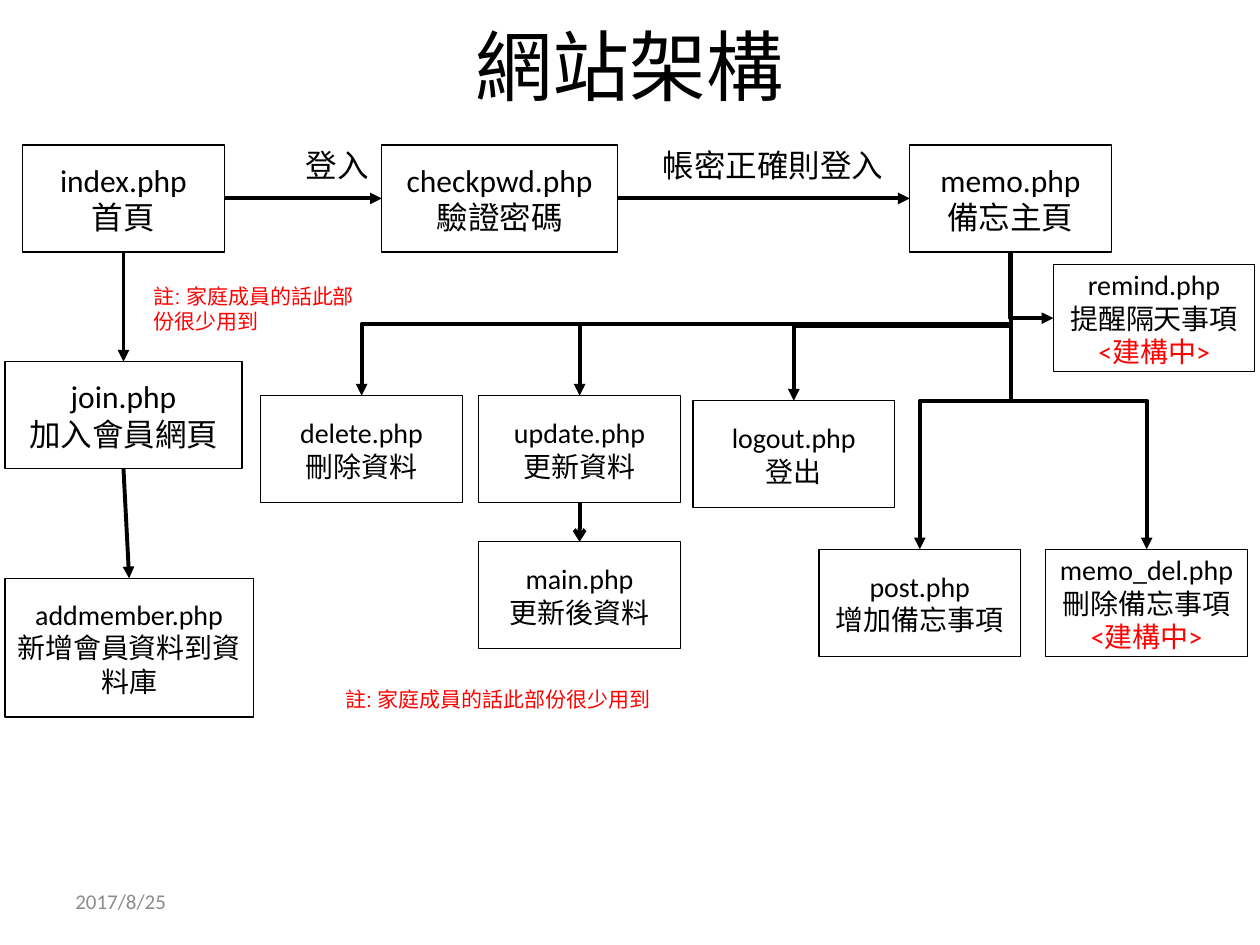
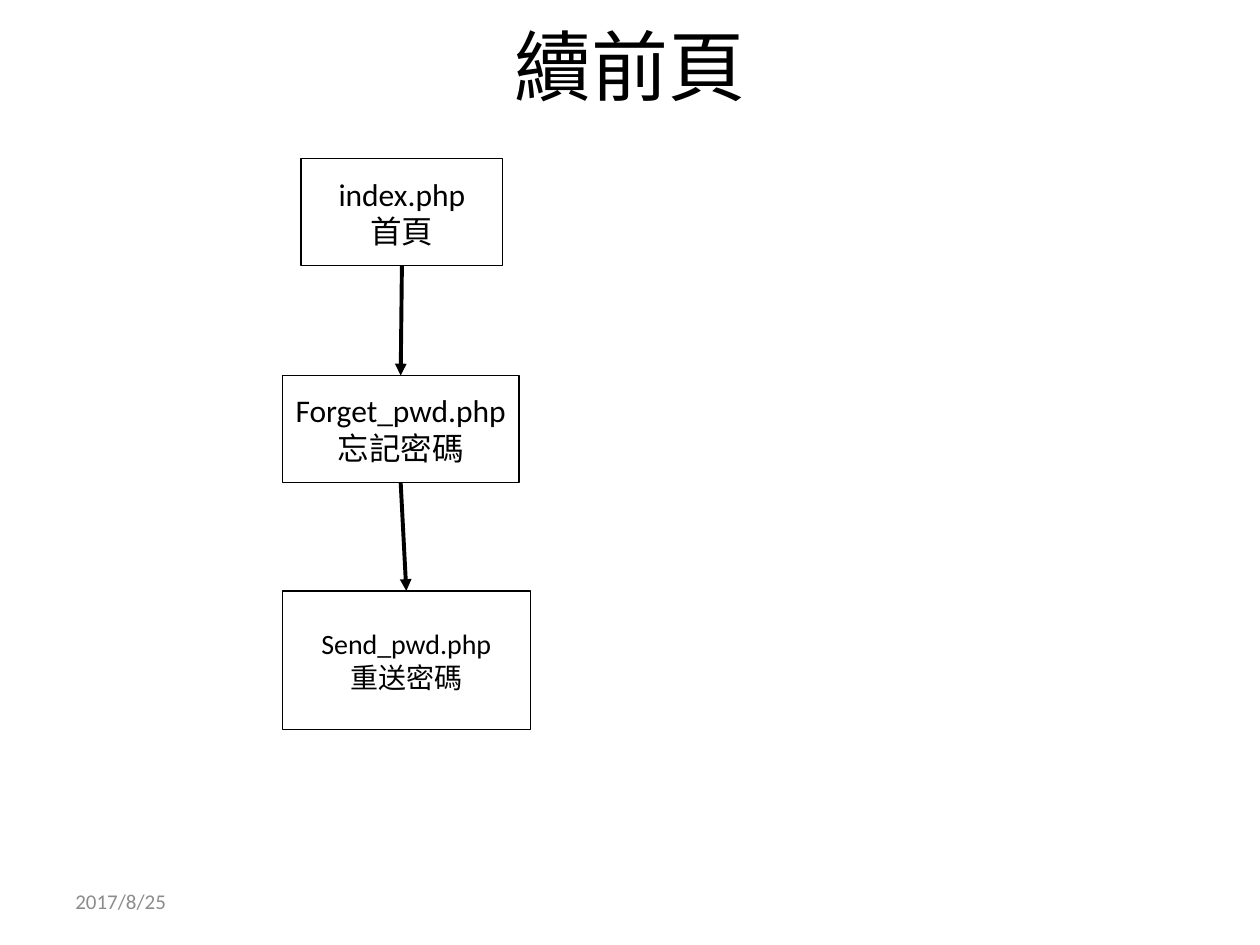
from dataclasses import dataclass

from pptx import Presentation
from pptx.dml.color import RGBColor
from pptx.enum.shapes import MSO_CONNECTOR as Route, MSO_SHAPE as Form
from pptx.enum.text import MSO_ANCHOR as Anchor, PP_ALIGN as Align
from pptx.oxml import parse_xml
from pptx.oxml.ns import nsdecls, qn
from pptx.util import Inches, Pt

BLACK, RED, GRAY = "000000", "FF0000", "8C8C8C"
TOP, LEFT, BOTTOM, RIGHT = range(4)
BUILD = "<建構中>"
NOTE = "註: 家庭成員的話此部份很少用到"


@dataclass
class Box:
    name: str
    label: str
    left: float
    top: float
    size: int = 16
    width: float = 1.6
    height: float = 0.85
    building: bool = False


@dataclass
class Link:
    start: str
    end: str
    leave: int = BOTTOM
    enter: int = TOP
    bend: str = ""
    head: str = "triangle"


@dataclass
class Label:
    text: str
    left: float
    top: float
    width: float
    height: float
    size: int = 18
    font: str = "Calibri"
    color: str = BLACK
    align: Align = Align.LEFT
    anchor: Anchor = Anchor.TOP
    pad: float = 0.05


@dataclass
class Page:
    title: str
    boxes: list[Box]
    links: list[Link]
    labels: list[Label]


def paint(color: str) -> RGBColor:
    return RGBColor.from_string(color)


def style(para, size: int, color: str, font: str, align: Align) -> None:
    para.alignment = align
    for run in para.runs:
        run.font.size = Pt(size)
        run.font.name = font
        run.font.color.rgb = paint(color)


def set_frame(frame, anchor: Anchor, pad: float) -> None:
    frame.word_wrap = True
    frame.vertical_anchor = anchor
    frame.margin_left = frame.margin_right = Inches(0.1)
    frame.margin_top = frame.margin_bottom = Inches(pad)


def draw_label(slide, label: Label) -> None:
    area = map(Inches, (label.left, label.top, label.width, label.height))
    frame = slide.shapes.add_textbox(*area).text_frame
    set_frame(frame, label.anchor, label.pad)
    frame.text = label.text
    style(frame.paragraphs[0], label.size, label.color, label.font, label.align)


def draw_box(slide, box: Box):
    area = map(Inches, (box.left, box.top, box.width, box.height))
    shape = slide.shapes.add_shape(Form.RECTANGLE, *area)
    shape.shadow.inherit = False
    shape.fill.background()
    shape.line.color.rgb = paint(BLACK)
    shape.line.width = Pt(0.75)
    frame = shape.text_frame
    set_frame(frame, Anchor.MIDDLE, 0.1)
    lines = [f"{box.name}.php", box.label] + [BUILD] * box.building
    frame.text = "\n".join(lines)
    for para, text in zip(frame.paragraphs, lines):
        color = RED if text == BUILD else BLACK
        style(para, box.size, color, "Calibri", Align.CENTER)
    return shape


def turn(line, bend: str) -> None:
    across = line.end_x - line.begin_x
    down = line.end_y - line.begin_y
    mid_x = (line.begin_x + line.end_x) // 2
    mid_y = (line.begin_y + line.end_y) // 2
    line.width, line.height = down, abs(across)
    line.left, line.top = mid_x - down // 2, mid_y - abs(across) // 2
    line.rotation = 270 if across > 0 else 90
    props = line._element.spPr
    props.find(qn("a:xfrm")).flipH = across > 0
    props.find(qn("a:prstGeom")).set("prst", bend)


def draw_link(slide, link: Link, shapes: dict) -> None:
    route = Route.ELBOW if link.bend else Route.STRAIGHT
    line = slide.shapes.add_connector(route, 0, 0, 0, 0)
    line.begin_connect(shapes[link.start], link.leave)
    line.end_connect(shapes[link.end], link.enter)
    if link.bend:
        turn(line, link.bend)
    line.line.color.rgb = paint(BLACK)
    line.line.width = Pt(2.25)
    tail = f'<a:tailEnd {nsdecls("a")} type="{link.head}"/>'
    line.line._get_or_add_ln().append(parse_xml(tail))
    line._element.spPr.append(parse_xml(f'<a:effectLst {nsdecls("a")}/>'))


def draw_page(deck, page: Page) -> None:
    slide = deck.slides.add_slide(deck.slide_layouts[6])
    title = Label(page.title, 0.5, -0.11, 9, 1.25, 44,
                  align=Align.CENTER, anchor=Anchor.MIDDLE)
    date = Label("2017/8/25", 0.5, 6.95, 2.33, 0.4, 12,
                 color=GRAY, anchor=Anchor.MIDDLE)
    for label in (title, date, *page.labels):
        draw_label(slide, label)
    shapes = {box.name: draw_box(slide, box) for box in page.boxes}
    for link in page.links:
        draw_link(slide, link, shapes)


FORK = "bentConnector3"
PAGES = [
    Page(
        "網站架構",
        [
            Box("index", "首頁", 0.18, 1.15, 18),
            Box("checkpwd", "驗證密碼", 3.03, 1.15, 18, 1.87),
            Box("memo", "備忘主頁", 7.22, 1.15, 18),
            Box("join", "加入會員網頁", 0.04, 2.87, 18, 1.88),
            Box("addmember", "新增會員資料到資料庫", 0.04, 4.59, 16, 1.97, 1.1),
            Box("delete", "刪除資料", 2.07, 3.14),
            Box("update", "更新資料", 3.8, 3.14),
            Box("logout", "登出", 5.5, 3.18),
            Box("main", "更新後資料", 3.8, 4.3),
            Box("post", "增加備忘事項", 6.5, 4.36),
            Box("memo_del", "刪除備忘事項", 8.3, 4.36, building=True),
            Box("remind", "提醒隔天事項", 8.36, 2.1, building=True),
        ],
        [
            Link("index", "checkpwd", RIGHT, LEFT),
            Link("checkpwd", "memo", RIGHT, LEFT),
            Link("index", "join"),
            Link("join", "addmember"),
            *(Link("memo", end, bend=FORK)
              for end in ("logout", "update", "delete", "memo_del", "post")),
            Link("memo", "remind", enter=LEFT, bend="bentConnector2"),
            Link("update", "main", head="arrow"),
        ],
        [
            Label("登入", 2.33, 1.06, 0.78, 0.52, pad=0.1),
            Label("帳密正確則登入", 5.16, 1.06, 2.02, 0.52, pad=0.1),
            Label(NOTE, 1.12, 2.2, 1.81, 0.5, 12, "Arial", RED),
            Label(NOTE, 2.64, 5.4, 2.68, 0.31, 12, "Arial", RED),
        ],
    ),
    Page(
        "續前頁",
        [
            Box("index", "首頁", 2.39, 1.26, 18),
            Box("Forget_pwd", "忘記密碼", 2.24, 2.98, 18, 1.88),
            Box("Send_pwd", "重送密碼", 2.24, 4.69, 16, 1.97, 1.1),
        ],
        [Link("index", "Forget_pwd"), Link("Forget_pwd", "Send_pwd")],
        [],
    ),
]


def main() -> None:
    deck = Presentation()
    deck.slide_width, deck.slide_height = Inches(10), Inches(7.5)
    for page in PAGES:
        draw_page(deck, page)
    deck.save("out.pptx")


main()
